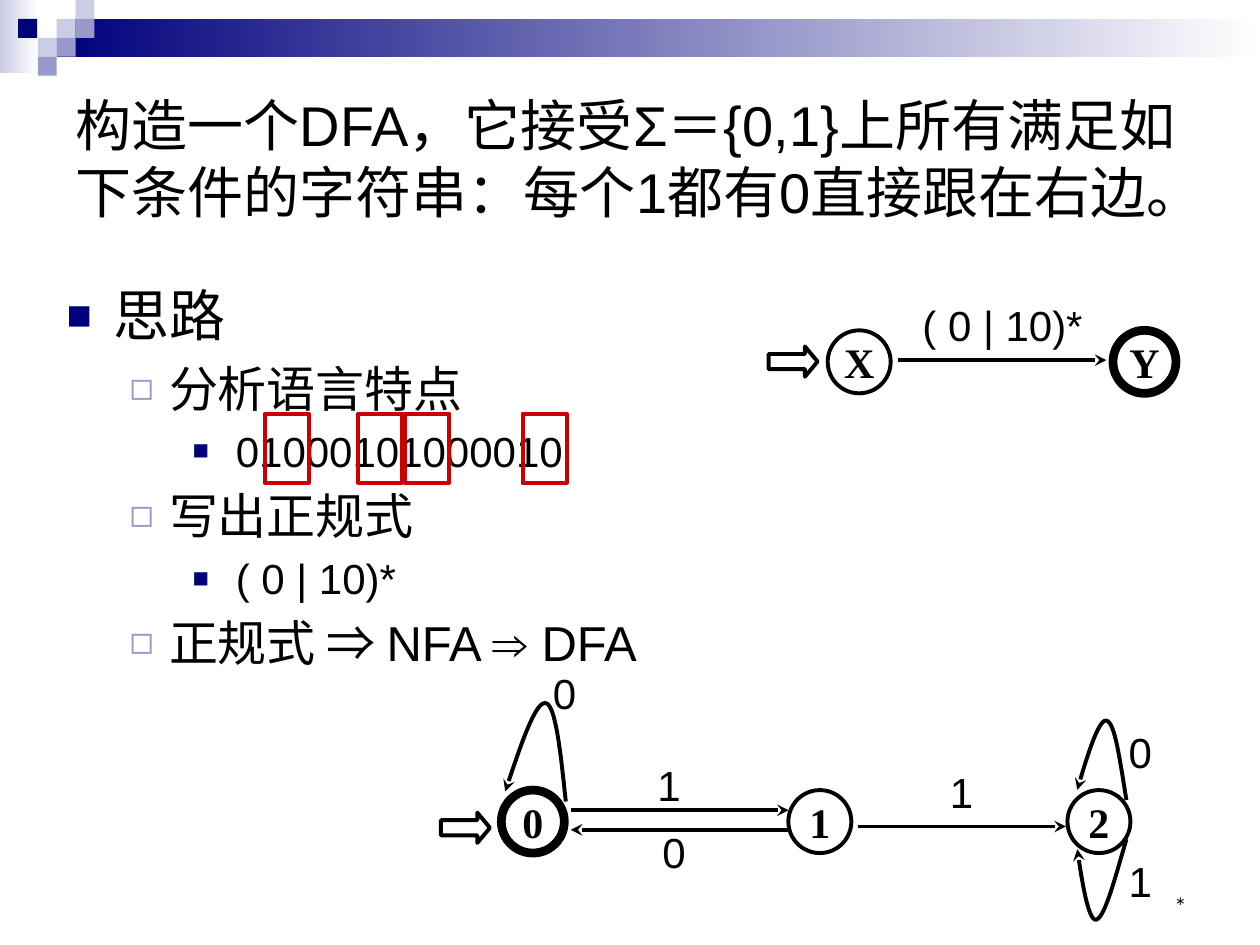
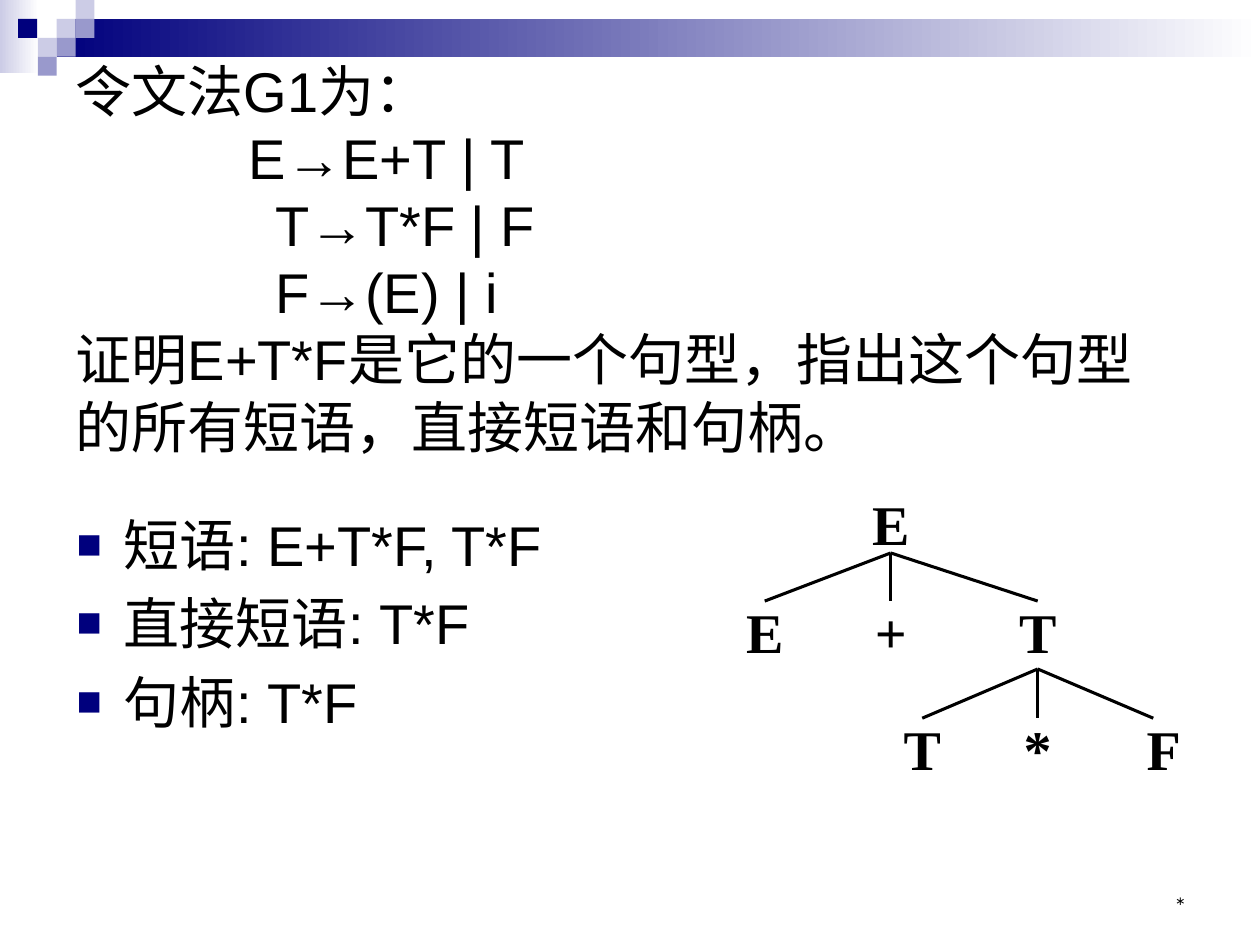
"""Builds two slides on compiler theory: a DFA construction and a parse tree."""
from dataclasses import dataclass
from typing import NamedTuple

from lxml.etree import SubElement
from pptx import Presentation
from pptx.dml.color import RGBColor
from pptx.enum.shapes import MSO_CONNECTOR, MSO_SHAPE
from pptx.enum.text import MSO_ANCHOR, MSO_AUTO_SIZE, PP_ALIGN
from pptx.oxml.ns import qn
from pptx.util import Pt

BLACK, RED = "000000", "CC0000"
NAVY, LAVENDER, PALE, WHITE = "00007D", "9999CC", "CCCCE6", "FFFFFF"
SANS, SERIF, FOOTER_FONT = "Arial", "Times New Roman", "Montserrat"
SAMPLE_STRING = "01000101000010"


class Box(NamedTuple):
    left: float
    top: float
    width: float
    height: float


class Point(NamedTuple):
    x: float
    y: float


@dataclass(frozen=True)
class Style:
    size: float
    font: str = SANS
    bold: bool = False
    align: PP_ALIGN = PP_ALIGN.LEFT
    anchor: MSO_ANCHOR = MSO_ANCHOR.TOP
    wrap: bool = False


@dataclass(frozen=True)
class Level:
    size: float
    margin: float
    hanging: float
    bullet: str
    bullet_color: str
    bullet_percent: int


@dataclass(frozen=True)
class State:
    name: str
    left: float
    top: float
    accepting: bool = False


@dataclass(frozen=True)
class Label:
    text: str
    left: float
    top: float
    width: float = 28


@dataclass(frozen=True)
class Node:
    symbol: str
    center: float
    top: float


@dataclass(frozen=True)
class Branch:
    parent: int
    child: int
    start: Point
    end: Point
    joins_parent: bool = True
    joins_child: bool = True


TITLE = Style(32, anchor=MSO_ANCHOR.MIDDLE, wrap=True)
LABEL = Style(24)
STATE = Style(24, SERIF, True, PP_ALIGN.CENTER, MSO_ANCHOR.MIDDLE)
SYMBOL = Style(32, SERIF, True, PP_ALIGN.CENTER, MSO_ANCHOR.MIDDLE)
FOOTER = Style(12, FOOTER_FONT, False, PP_ALIGN.RIGHT, MSO_ANCHOR.BOTTOM, True)

TOPIC = Level(32, 27, 27, "■", NAVY, 75)
STEP = Level(28, 58.5, 22.5, "◻", LAVENDER, 80)
DETAIL = Level(24, 96.7, 24.7, "■", NAVY, 65)

TILE = 10.8
TILES = [(32.4, 10.8, PALE), (43.2, 0, PALE), (43.2, 10.8, LAVENDER), (21.6, 21.6, PALE),
         (10.4, 10.8, NAVY), (32.4, 21.6, LAVENDER), (21.6, 32.4, LAVENDER)]

STATES = [State("X", 473, 188.8), State("Y", 636, 188.8, True),
          State("0", 286.5, 451.5, True), State("1", 450.5, 451.5), State("2", 610, 451.5)]
START_ARROWS = [Point(439.2, 198), Point(252, 464.4)]
TRANSITIONS = [(Point(513.4, 205.8), Point(632.2, 205.8)),
               (Point(326.2, 463), Point(450.7, 463)),
               (Point(450.7, 474.2), Point(326.2, 474.2)),
               (Point(490.3, 472.3), Point(609.1, 472.3))]
LABELS = [Label("( 0 | 10)*", 520, 167.8, 106.5), Label("1", 368.6, 430.6),
          Label("1", 535.7, 434.2), Label("0", 308.9, 378), Label("0", 371.5, 468.7),
          Label("0", 637.9, 411.8), Label("1", 637.9, 485.3)]
LOOPS = [[(323.3, 458), (320.4, 430.5), (317.5, 402.5), (311.8, 401.8),
          (306, 400.3), (297.4, 426.2), (288.7, 452.2)],
         [(643.7, 457.2), (640, 435), (637.2, 412.5), (632.2, 411.8),
          (627.8, 411), (621.4, 431.3), (615.6, 451.4)],
         [(643.7, 479.5), (637.2, 501.8), (631.4, 524.2), (626.4, 525.6),
          (622, 526.3), (618.5, 505.4), (615.6, 485.3)]]

NODE_WIDTH, NODE_HEIGHT = 48, 33.8
NODES = [Node("E", 509, 282.2), Node("E", 437, 343.5), Node("+", 509, 343.5), Node("T", 593, 343.5),
         Node("T", 527, 410.4), Node("*", 593, 410.4), Node("F", 665, 410.4)]
ROOT_FOOT, TERM_FOOT = Point(509, 316), Point(593, 382.3)
BRANCHES = [Branch(0, 1, ROOT_FOOT, Point(437, 343.5)),
            Branch(0, 2, ROOT_FOOT, Point(509, 343.5)),
            Branch(0, 3, ROOT_FOOT, Point(593, 343.5)),
            Branch(3, 4, TERM_FOOT, Point(527, 410.4), joins_parent=False),
            Branch(3, 5, TERM_FOOT, Point(593, 410.4), joins_parent=False),
            Branch(3, 6, TERM_FOOT, Point(659, 410.4), joins_parent=False, joins_child=False)]


def rgb(code: str) -> RGBColor:
    """Turn a hex string into a colour."""
    return RGBColor.from_string(code)


def emu(box: Box) -> list:
    """Convert a box in points to lengths."""
    return [Pt(value) for value in box]


def add_run(paragraph, text: str, style: Style) -> None:
    """Append one formatted run."""
    run = paragraph.add_run()
    run.text = text
    run.font.name, run.font.size, run.font.bold = style.font, Pt(style.size), style.bold
    run.font.color.rgb = rgb(BLACK)


def prepare_frame(frame, style: Style) -> None:
    """Set anchor, wrapping and alignment of a text frame."""
    frame.auto_size = MSO_AUTO_SIZE.NONE
    frame.word_wrap = style.wrap
    frame.vertical_anchor = style.anchor
    frame.paragraphs[0].alignment = style.align


def add_text(slide, box: Box, text: str, style: Style):
    """Add a text box with a single run."""
    shape = slide.shapes.add_textbox(*emu(box))
    prepare_frame(shape.text_frame, style)
    add_run(shape.text_frame.paragraphs[0], text, style)
    return shape


def set_line(shape, color: str, width: float, arrow: bool = False) -> None:
    """Colour an outline and optionally end it with an arrowhead."""
    shape.line.color.rgb = rgb(color)
    shape.line.width = Pt(width)
    if arrow:
        outline = shape.element.spPr.find(qn("a:ln"))
        SubElement(outline, qn("a:tailEnd"), type="stealth", w="med", len="med")


def add_outline(slide, kind: MSO_SHAPE, box: Box, color: str = BLACK, width: float = 2.25):
    """Add an unfilled preset shape."""
    shape = slide.shapes.add_shape(kind, *emu(box))
    shape.shadow.inherit = False
    shape.fill.background()
    set_line(shape, color, width)
    return shape


def add_block(slide, box: Box, color: str, fade_to: str = "") -> None:
    """Add a borderless rectangle, plain or fading to the right."""
    block = slide.shapes.add_shape(MSO_SHAPE.RECTANGLE, *emu(box))
    block.shadow.inherit = False
    block.line.fill.background()
    if not fade_to:
        block.fill.solid()
        block.fill.fore_color.rgb = rgb(color)
        return
    block.fill.gradient()
    block.fill.gradient_angle = 0
    for stop, code in zip(block.fill.gradient_stops, (color, fade_to)):
        stop.color.rgb = rgb(code)


def add_line(slide, start: Point, end: Point, width: float, arrow: bool = False):
    """Add a straight connector."""
    line = slide.shapes.add_connector(MSO_CONNECTOR.STRAIGHT, *[Pt(v) for v in (*start, *end)])
    set_line(line, BLACK, width, arrow)
    SubElement(line.element.spPr, qn("a:effectLst"))
    return line


def bezier(controls: list, t: float) -> tuple:
    """Return the point at t on a cubic curve."""
    weights = ((1 - t) ** 3, 3 * t * (1 - t) ** 2, 3 * t * t * (1 - t), t ** 3)
    return tuple(Pt(sum(w * p[axis] for w, p in zip(weights, controls))) for axis in (0, 1))


def add_loop(slide, controls: list, steps: int = 16) -> None:
    """Draw a self-transition from two joined cubic curves."""
    outline = [bezier(half, step / steps) for half in (controls[:4], controls[3:])
               for step in range(1, steps + 1)]
    builder = slide.shapes.build_freeform(*[Pt(v) for v in controls[0]])
    builder.add_line_segments(outline, close=False)
    loop = builder.convert_to_shape()
    loop.shadow.inherit = False
    loop.fill.background()
    set_line(loop, BLACK, 2.25, arrow=True)


def add_bullets(slide, box: Box, items: list) -> None:
    """Add an outline of (level, text) items."""
    frame = slide.shapes.add_textbox(*emu(box)).text_frame
    prepare_frame(frame, Style(32, wrap=True))
    for index, (level, text) in enumerate(items):
        paragraph = frame.add_paragraph() if index else frame.paragraphs[0]
        props = paragraph._p.get_or_add_pPr()
        props.set("marL", str(Pt(level.margin)))
        props.set("indent", str(-Pt(level.hanging)))
        SubElement(SubElement(props, qn("a:buClr")), qn("a:srgbClr"), val=level.bullet_color)
        SubElement(props, qn("a:buSzPct"), val=str(level.bullet_percent * 1000))
        SubElement(props, qn("a:buFont"), typeface=SANS)
        SubElement(props, qn("a:buChar"), char=level.bullet)
        if index:
            paragraph.space_before = Pt(level.size * 0.2)
        add_run(paragraph, text, Style(level.size))


def start_slide(deck, title_height: float, title_lines: list):
    """Add a slide with the shared decoration, footer and a title of (indent, text) lines."""
    slide = deck.slides.add_slide(deck.slide_layouts[5])
    add_block(slide, Box(0, 0, 22.3, 41.8), PALE, WHITE)
    add_block(slide, Box(32.4, 10.8, 687.6, 21.6), NAVY, WHITE)
    for left, top, color in TILES:
        add_block(slide, Box(left, top, TILE, TILE), color)
    add_text(slide, Box(516.2, 491.8, 167.8, 36), "*", FOOTER)

    title = slide.shapes.title
    title.left, title.top, title.width, title.height = emu(Box(36, 36, 648, title_height))
    prepare_frame(title.text_frame, TITLE)
    for index, (indent, text) in enumerate(title_lines):
        paragraph = title.text_frame.add_paragraph() if index else title.text_frame.paragraphs[0]
        paragraph.alignment = TITLE.align
        paragraph._p.get_or_add_pPr().set("marL", str(Pt(indent)))
        add_run(paragraph, text, TITLE)
    return slide


def build_automaton_slide(deck) -> None:
    """Build the DFA construction slide."""
    slide = start_slide(deck, 108, [
        (0, "构造一个DFA，它接受Σ＝{0,1}上所有满足如下条件的字符串：每个1都有0直接跟在右边。")])
    add_bullets(slide, Box(31, 157, 648, 306), [
        (TOPIC, "思路"), (STEP, "分析语言特点"), (DETAIL, SAMPLE_STRING),
        (STEP, "写出正规式"), (DETAIL, "( 0 | 10)*"), (STEP, "正规式 ⇒ NFA ⇒ DFA")])
    for corner in START_ARROWS:
        arrow = add_outline(slide, MSO_SHAPE.RIGHT_ARROW, Box(*corner, 28, 17.3))
        arrow.adjustments[1] = 0.417
    for state in STATES:
        circle = add_outline(slide, MSO_SHAPE.OVAL, Box(state.left, state.top, 36, 36),
                             width=5 if state.accepting else 2.25)
        prepare_frame(circle.text_frame, STATE)
        add_run(circle.text_frame.paragraphs[0], state.name, STATE)
    for start, end in TRANSITIONS:
        add_line(slide, start, end, 2.25, arrow=True)
    for controls in LOOPS:
        add_loop(slide, controls)
    for label in LABELS:
        add_text(slide, Box(label.left, label.top, label.width, 36), label.text, LABEL)
    for index in range(len(SAMPLE_STRING)):
        if SAMPLE_STRING.startswith("10", index):
            add_outline(slide, MSO_SHAPE.RECTANGLE, Box(137.8 + 13.4 * index, 236.4, 25.2, 39.6), RED)


def build_grammar_slide(deck) -> None:
    """Build the phrase and parse tree slide."""
    slide = start_slide(deck, 222.5, [
        (0, "令文法G1为："), (99, "E→E+T | T"), (114, "T→T*F | F"), (114, "F→(E) | i"),
        (0, "证明E+T*F是它的一个句型，指出这个句型的所有短语，直接短语和句柄。")])
    add_bullets(slide, Box(36.7, 288, 341.3, 146.9), [
        (TOPIC, "短语: E+T*F, T*F"), (TOPIC, "直接短语: T*F"), (TOPIC, "句柄: T*F")])
    symbols = [add_text(slide, Box(node.center - NODE_WIDTH / 2, node.top, NODE_WIDTH, NODE_HEIGHT),
                        node.symbol, SYMBOL) for node in NODES]
    for branch in BRANCHES:
        line = add_line(slide, branch.start, branch.end, 1.75)
        if branch.joins_parent:
            line.begin_connect(symbols[branch.parent], 2)
        if branch.joins_child:
            line.end_connect(symbols[branch.child], 0)


def main() -> None:
    """Create and save the deck."""
    deck = Presentation()
    deck.slide_width, deck.slide_height = Pt(720), Pt(540)
    build_automaton_slide(deck)
    build_grammar_slide(deck)
    deck.save("out.pptx")


if __name__ == "__main__":
    main()
